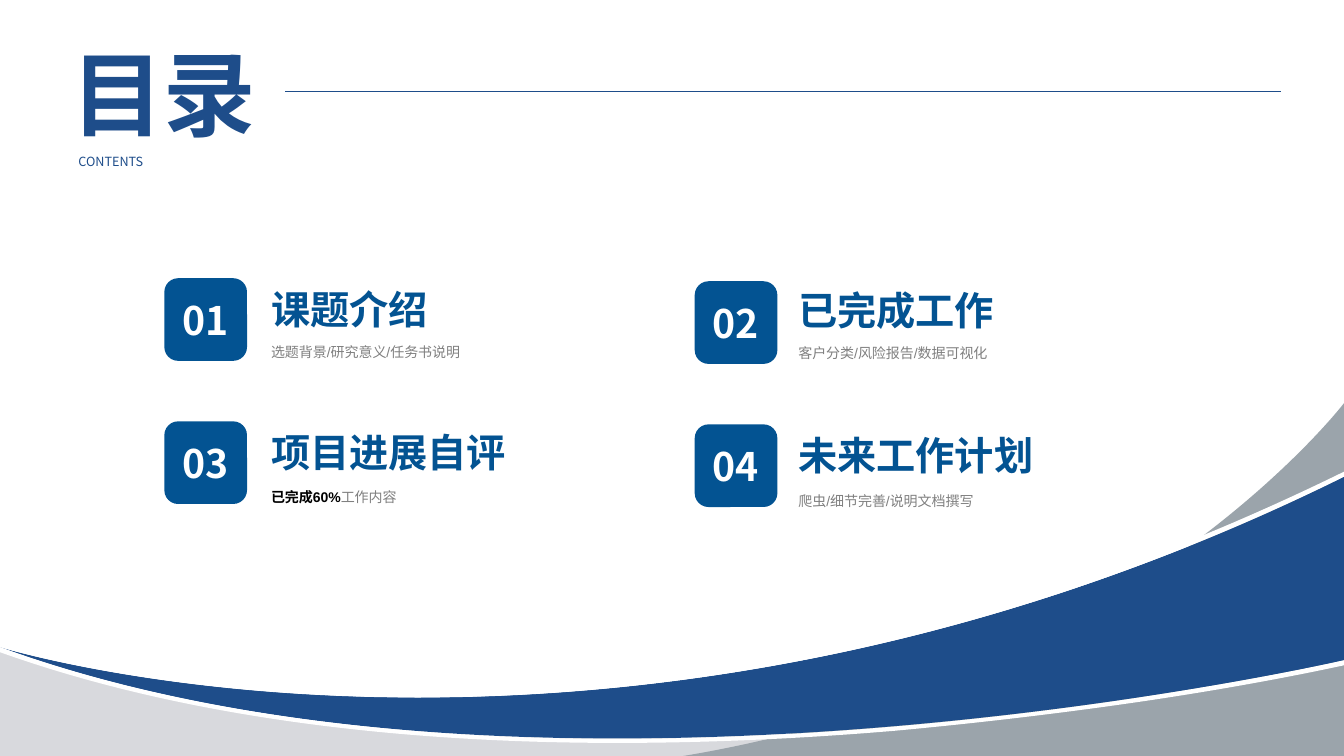
from collections import namedtuple

from lxml import etree
from pptx import Presentation, util as u
from pptx.dml.color import RGBColor
from pptx.enum import shapes, text
from pptx.oxml.ns import qn

Theme = namedtuple("Theme", "navy blue gray pale steel white black head sub huge big small tiny")
T = Theme(
    navy="1E4D8A", blue="035392", gray="808080", pale="D8D9DD", steel="9BA4AB",
    white="FFFFFF", black="000000", head="Noto Sans CJK SC", sub="Arial",
    huge=66, big=28, small=10, tiny=9,
)

W, H = 13.33, 7.5
BASE = 7.53  # bottom edge of the waves

# Each topic: number, title, bold lead, rest,
# then drop below the badge top and width, for the title and for the detail
TOPICS = [
    ("01", "课题介绍", "", "选题背景/研究意义/任务书说明", (0.02, 2.92), (0.43, 3.63)),
    ("02", "已完成工作", "", "客户分类/风险报告/数据可视化", (0, 3.12), (0.41, 2.94)),
    ("03", "项目进展自评", "已完成60%", "工作内容", (0.02, 3.42), (0.45, 3.63)),
    ("04", "未来工作计划", "", "爬虫/细节完善/说明文档撰写", (0.02, 4.21), (0.46, 3.63)),
]
COLS = [(1.63, 2.59, 0), (6.89, 7.82, 0.03)]  # badge left, text left, shift down
TOP, STEP, BADGE = 2.76, 1.42, 0.82

# Colour, height and outline: a pair is a straight step, six numbers are a cubic curve
WAVES = [
    (T.pale, 1.11, [(W, BASE), (W, 6.55), (W, 6.55, 5.36, 8.38, 0, 6.42),
                    (0, BASE), (W, BASE)]),
    (T.steel, 3.53, [(W, 4), (W, 4, 11.16, 6.84, 6.59, BASE), (W, BASE), (W, 4)]),
    (T.navy, 2.59, [(0, 6.42), (0, 6.42, 6.1, 8.31, W, 4.73), (W, 6.55),
                    (W, 6.55, 5.36, 8.38, 0, 6.42)]),
    (T.white, 0.95, [(6.12, 7.37), (7, 7.37, 7.92, 7.33, 8.87, 7.25),
                     (9.63, 7.18, 10.41, 7.09, 11.18, 6.98),
                     (12.37, 6.81, 13.19, 6.63, W, 6.6), (W, 6.55),
                     (W, 6.55, 9.95, 7.33, 6.12, 7.33), (4.06, 7.33, 1.87, 7.1, 0, 6.42),
                     (0, 6.47), (1.65, 7.06, 3.71, 7.37, 6.12, 7.37)]),
    (T.white, 2.24, [(W, 4.73), (W, 4.68), (13.29, 4.7),
                     (12.45, 5.11, 11.59, 5.47, 10.72, 5.77),
                     (9.93, 6.04, 9.12, 6.27, 8.31, 6.44),
                     (6.93, 6.73, 5.54, 6.88, 4.15, 6.88),
                     (3.58, 6.88, 3, 6.85, 2.44, 6.8), (2, 6.76, 1.56, 6.7, 1.14, 6.63),
                     (0.44, 6.51, 0.03, 6.38, 0.03, 6.38), (0, 6.42),
                     (0, 6.42, 1.61, 6.92, 4.15, 6.92),
                     (6.56, 6.92, 9.81, 6.47, W, 4.73)]),
]


def paint(shape, color):
    shape.fill.solid()
    shape.fill.fore_color.rgb = RGBColor.from_string(color)
    shape.line.fill.background()
    shape.shadow.inherit = False


def bend(shape, steps):
    """Turn the straight segments of the curved steps into cubic curves."""
    lines = list(shape._element.iter(qn("a:lnTo")))
    for line, step in zip(lines, steps[1:]):
        if len(step) == 2:
            continue
        curve = etree.Element(qn("a:cubicBezTo"))
        for x, y in zip(step[::2], step[1::2]):
            etree.SubElement(curve, qn("a:pt"), x=str(u.Inches(x) - shape.left),
                             y=str(u.Inches(y) - shape.top))
        line.getparent().replace(line, curve)


def add_wave(group, color, tall, steps):
    pts = [(u.Inches(step[-2]), u.Inches(step[-1])) for step in steps]
    pen = group.shapes.build_freeform(*pts[0])
    pen.add_line_segments(pts[1:], close=True)
    wave = pen.convert_to_shape()
    bend(wave, steps)
    wave.height = u.Inches(tall)
    for outline in wave._element.iter(qn("a:path")):
        outline.set("h", str(wave.height))
    paint(wave, color)


def style(run, size, color, bold=False, face=T.head):
    font = run.font
    font.size, font.bold, font.name = u.Pt(size), bold, face
    font.color.rgb = RGBColor.from_string(color)
    east = etree.SubElement(font._element, qn("a:ea"))
    east.set("typeface", T.head)


def add_label(parent, box, runs):
    """Add a text box; runs holds a text and its style values in each entry."""
    frame = parent.shapes.add_textbox(*map(u.Inches, box)).text_frame
    frame.word_wrap = True
    frame.auto_size = text.MSO_AUTO_SIZE.SHAPE_TO_FIT_TEXT
    para = frame.paragraphs[0]
    for words, *look in runs:
        run = para.add_run()
        run.text = words
        style(run, *look)
    return para


def add_badge(slide, x, y, num):
    badge = slide.shapes.add_shape(
        shapes.MSO_SHAPE.ROUNDED_RECTANGLE, *map(u.Inches, (x, y, BADGE, BADGE)))
    paint(badge, T.blue)
    frame = badge.text_frame
    frame.text = num
    frame.vertical_anchor = text.MSO_ANCHOR.MIDDLE
    para = frame.paragraphs[0]
    para.alignment = text.PP_ALIGN.CENTER
    style(para.runs[0], T.big, T.white, True)


def add_topic(slide, spot, topic):
    num, title, lead, rest, (drop, wide), (fall, span) = topic
    row, col = divmod(spot, len(COLS))
    left, inner, shift = COLS[col]
    y = TOP + row * STEP + shift
    add_badge(slide, left, y, num)
    add_label(slide, (inner, y + drop, wide, 0.57), [(title, T.big, T.blue, True)])
    runs = [(lead, T.small, T.black, True, T.sub)] if lead else []
    runs.append((rest, T.small, T.gray, False, T.sub))
    add_label(slide, (inner, y + fall, span, 0.44), runs).line_spacing = 2.0


def add_header(slide):
    group = slide.shapes.add_group_shape()
    add_label(group, (0.61, 0.32, 2.49, 1.21), [("目录", T.huge, T.navy, True)])
    para = add_label(group, (0.68, 1.48, 1.99, 0.26), [("CONTENTS", T.tiny, T.navy)])
    para.alignment = text.PP_ALIGN.JUSTIFY
    rule = slide.shapes.add_connector(
        shapes.MSO_CONNECTOR.STRAIGHT, *map(u.Inches, (2.83, 0.91, 12.71, 0.91)))
    rule.line.color.rgb = RGBColor.from_string(T.navy)
    rule.line.width = u.Pt(0.5)
    etree.SubElement(rule._element.spPr, qn("a:effectLst"))


def main():
    deck = Presentation()
    deck.slide_width, deck.slide_height = u.Inches(W), u.Inches(H)
    slide = deck.slides.add_slide(deck.slide_layouts[6])
    waves = slide.shapes.add_group_shape()
    for wave in WAVES:
        add_wave(waves, *wave)
    for spot, topic in enumerate(TOPICS):
        add_topic(slide, spot, topic)
    add_header(slide)
    deck.save("out.pptx")


if __name__ == "__main__":
    main()
